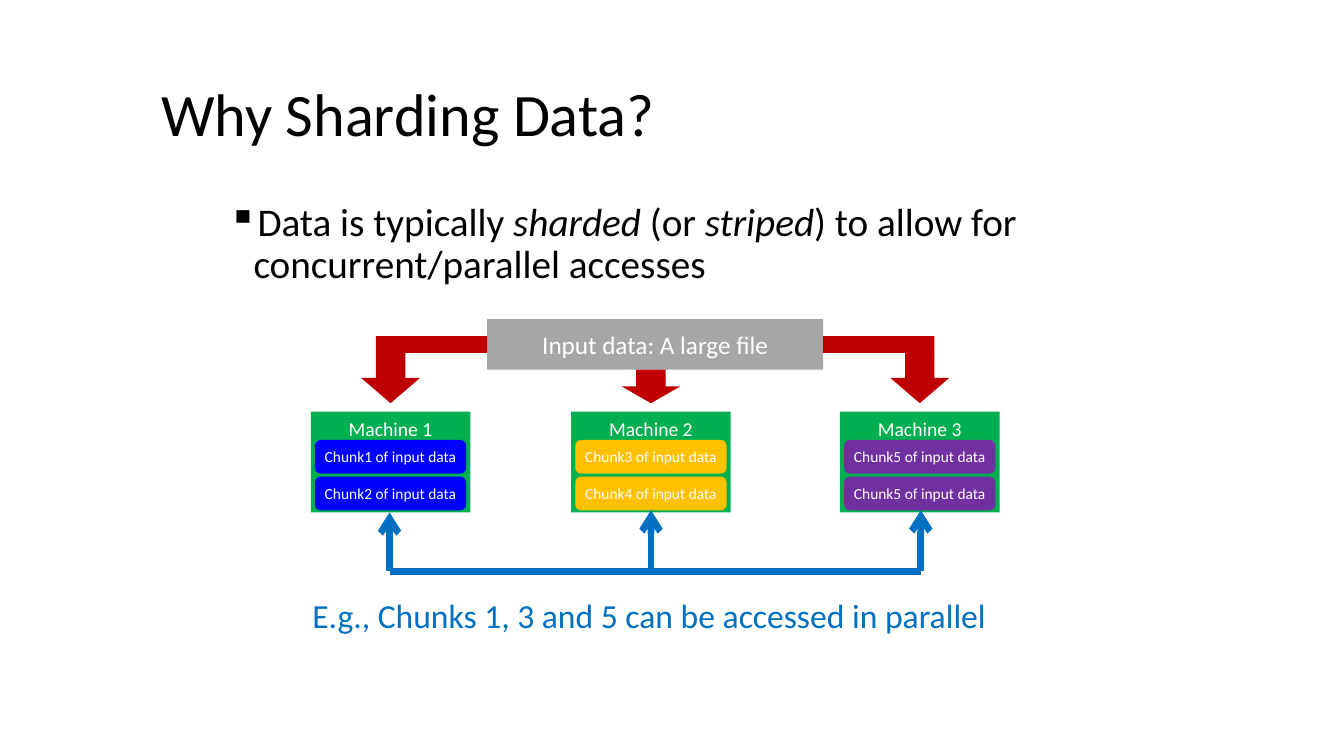
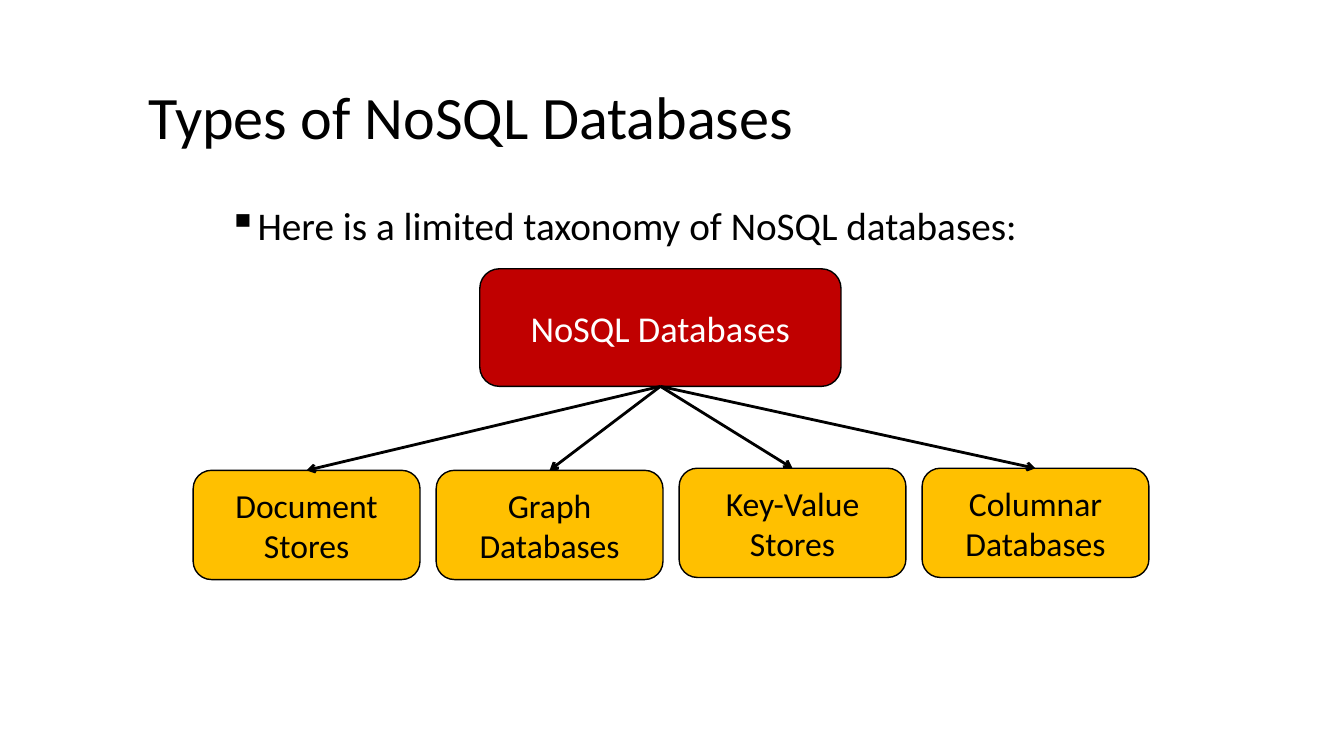
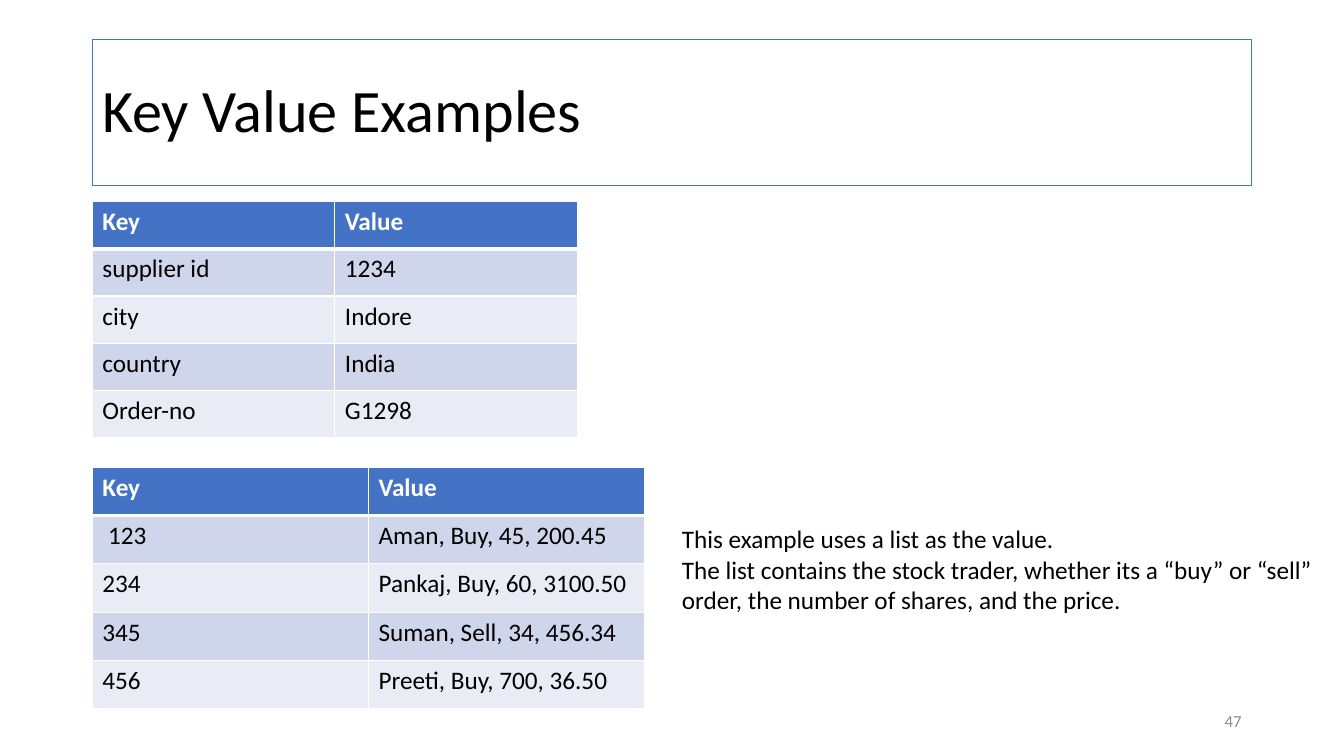
from lxml import etree
from pptx import Presentation
from pptx.dml.color import RGBColor
from pptx.enum.shapes import MSO_CONNECTOR, MSO_SHAPE
from pptx.enum.text import MSO_ANCHOR, PP_ALIGN
from pptx.oxml.ns import qn
from pptx.util import Pt

PX = 9525
FONT = "Calibri"
BLACK = RGBColor(0x00, 0x00, 0x00)
WHITE = RGBColor(0xFF, 0xFF, 0xFF)
GREY = RGBColor(0xA6, 0xA6, 0xA6)
PAGE_GREY = RGBColor(0x8C, 0x8C, 0x8C)
GREEN = RGBColor(0x00, 0xB0, 0x50)
BLUE = RGBColor(0x00, 0x00, 0xFF)
AMBER = RGBColor(0xFF, 0xC0, 0x00)
PURPLE = RGBColor(0x70, 0x30, 0xA0)
RED = RGBColor(0xC0, 0x00, 0x00)
ACCESS_BLUE = RGBColor(0x00, 0x70, 0xC0)
HEADER_BLUE = RGBColor(0x44, 0x72, 0xC4)
BAND_DARK = RGBColor(0xCF, 0xD5, 0xEA)
BAND_LIGHT = RGBColor(0xE9, 0xEB, 0xF5)

RECT = MSO_SHAPE.RECTANGLE
ROUND = MSO_SHAPE.ROUNDED_RECTANGLE
DOWN = MSO_SHAPE.DOWN_ARROW
STRAIGHT = MSO_CONNECTOR.STRAIGHT
TOP, MIDDLE = MSO_ANCHOR.TOP, MSO_ANCHOR.MIDDLE
LEFT, CENTER, RIGHT = PP_ALIGN.LEFT, PP_ALIGN.CENTER, PP_ALIGN.RIGHT

# Content: a bullet is a list of (text, italic) pieces
SHARDING_BULLET = [
    ("Data is typically ", False), ("sharded", True), (" (or ", False),
    ("striped", True), (") to allow for concurrent/parallel accesses", False),
]
TAXONOMY_BULLET = [("Here is a limited taxonomy of NoSQL databases:", False)]

# Machine: name, left, chunk colour, chunks, x and tip of its access arrow
MACHINES = [
    ("Machine 1", 296, BLUE, ("Chunk1", "Chunk2"), 371, 488),
    ("Machine 2", 544, AMBER, ("Chunk3", "Chunk4"), 620, 486),
    ("Machine 3", 800, PURPLE, ("Chunk5", "Chunk5"), 877, 486),
]
# Red arrow parts: shape, left, top, width, height
FLOW_PARTS = [
    (DOWN, 344, 336, 56, 48), (RECT, 358, 320, 106, 16),
    (DOWN, 848, 336, 56, 48), (RECT, 784, 320, 106, 16),
    (DOWN, 592, 352, 56, 32),
]
# Database type: name, top
DATABASE_TYPES = [
    ("Document Stores", 448), ("Graph Databases", 448),
    ("Key-Value Stores", 446), ("Columnar Databases", 446),
]
# Table: top, column width, row height, rows
TABLES = [
    (192, 231, 45, [
        ("Key", "Value"), ("supplier id", "1234"), ("city", "Indore"),
        ("country", "India"), ("Order-no", "G1298")]),
    (445, 263, 46, [
        ("Key", "Value"), (" 123", "Aman, Buy, 45, 200.45"),
        ("234", "Pankaj, Buy, 60, 3100.50"),
        ("345", "Suman, Sell, 34, 456.34"),
        ("456", "Preeti, Buy, 700, 36.50")]),
]
LIST_NOTE = (
    "This example uses a list as the value.\n"
    "The list contains the stock trader, whether its a “buy” or “sell” "
    "order, the number of shares, and the price."
)


# Shared building parts
def emu(*lengths):
    return [round(length * PX) for length in lengths]


def write(frame, text, size, color, align=LEFT, anchor=TOP, wrap=True, bold=False):
    frame.text = text
    frame.word_wrap = wrap
    frame.vertical_anchor = anchor
    for para in frame.paragraphs:
        para.alignment = align
        for span in para.runs:
            style(span.font, size, color, bold)


def style(font, size, color, bold=False):
    font.name, font.size, font.bold = FONT, Pt(size), bold
    font.color.rgb = color


def add_text(page, area, text, size, color, **options):
    box = page.shapes.add_textbox(*emu(*area))
    write(box.text_frame, text, size, color, **options)
    return box


def add_block(page, kind, area, fill, text="", size=18, color=WHITE,
              outline=None, anchor=MIDDLE):
    block = page.shapes.add_shape(kind, *emu(*area))
    block.shadow.inherit = False
    block.fill.solid()
    block.fill.fore_color.rgb = fill
    if outline is None:
        block.line.fill.background()
    else:
        block.line.color.rgb = outline
        block.line.width = Pt(1)
    if text:
        write(block.text_frame, text, size, color, align=CENTER, anchor=anchor)
    return block


def add_line(page, start, end, color, width, arrow=True):
    line = page.shapes.add_connector(STRAIGHT, *emu(*start, *end))
    line.line.color.rgb = color
    line.line.width = Pt(width)
    if arrow:
        etree.SubElement(line.line._get_or_add_ln(), qn("a:tailEnd"), type="arrow")
    etree.SubElement(line._element.spPr, qn("a:effectLst"))


def add_title(page, text, area):
    box = add_text(page, area, text, 43, BLACK, anchor=MIDDLE)
    box.text_frame.paragraphs[0].line_spacing = 0.9
    return box


def add_bullet(page, pieces, top):
    box = page.shapes.add_textbox(*emu(208, top, 888, 712 - top))
    box.text_frame.word_wrap = True
    para = box.text_frame.paragraphs[0]
    para.line_spacing = 0.9
    properties = para._p.get_or_add_pPr()
    properties.set("marL", str(24 * PX))
    properties.set("indent", str(-24 * PX))
    etree.SubElement(properties, qn("a:buChar"), char="▪")
    for text, italic in pieces:
        span = para.add_run()
        span.text = text
        style(span.font, 28, BLACK)
        span.font.italic = italic


def set_borders(cell, widths):
    properties = cell._tc.get_or_add_tcPr()
    for index, (side, width) in enumerate(widths.items()):
        border = etree.Element(qn(f"a:ln{side}"), w=str(Pt(width)))
        fill = etree.SubElement(border, qn("a:solidFill"))
        etree.SubElement(fill, qn("a:srgbClr"), val=str(WHITE))
        properties.insert(index, border)


def add_key_table(page, top, column_width, row_height, rows):
    columns = len(rows[0])
    area = emu(88, top, column_width * columns, row_height * len(rows))
    table = page.shapes.add_table(len(rows), columns, *area).table
    for r, row in enumerate(rows):
        header = r == 0
        band = HEADER_BLUE if header else BAND_DARK if r % 2 else BAND_LIGHT
        for c, text in enumerate(row):
            cell = table.cell(r, c)
            write(cell.text_frame, text, 18, WHITE if header else BLACK, bold=header)
            cell.fill.solid()
            cell.fill.fore_color.rgb = band
            set_borders(cell, {"L": 1, "R": 1, "T": 3 if r == 1 else 1,
                               "B": 3 if header else 1})


# Slides
def build_sharding(page):
    add_title(page, "Why Sharding Data?", (144, 51, 864, 120))
    add_bullet(page, SHARDING_BULLET, 188)
    add_block(page, RECT, (464, 304, 320, 48), GREY, "Input data: A large file")
    for kind, *area in FLOW_PARTS:
        add_block(page, kind, area, RED)
    for name, left, color, chunks, *_ in MACHINES:
        add_block(page, RECT, (left, 392, 152, 96), GREEN, name, 14, anchor=TOP)
        for row, chunk in enumerate(chunks):
            area = (left + 4, 419 + 35 * row, 144, 32)
            block = add_block(page, ROUND, area, color, f"{chunk} of input data", 11)
            block.text_frame.margin_left = block.text_frame.margin_right = 0

    # Parallel access
    base = 544
    for *_, x, tip in MACHINES:
        add_line(page, (x, base), (x, tip), ACCESS_BLUE, 4.75)
    add_line(page, (MACHINES[0][4], base), (MACHINES[-1][4], base),
             ACCESS_BLUE, 4.75, arrow=False)
    add_text(page, (288, 562, 666, 48),
             "E.g., Chunks 1, 3 and 5 can be accessed in parallel",
             24, ACCESS_BLUE, wrap=False)


def build_taxonomy(page):
    add_title(page, "Types of NoSQL Databases", (132, 54, 864, 120))
    add_bullet(page, TAXONOMY_BULLET, 192)
    add_block(page, ROUND, (457, 256, 344, 112), RED, "NoSQL Databases", 26,
              outline=BLACK)
    width = 216
    for index, (name, top) in enumerate(DATABASE_TYPES):
        left = 184 + 231.4 * index
        add_block(page, ROUND, (left, top, width, 104), AMBER, name, 24, BLACK,
                  outline=BLACK)
        add_line(page, (629, 368), (left + width / 2, top), BLACK, 2)


def build_examples(page):
    title = add_title(page, "Key Value Examples", (88, 38, 1104, 139))
    title.line.color.rgb = HEADER_BLUE
    title.line.width = Pt(0.75)
    for table in TABLES:
        add_key_table(page, *table)
    add_text(page, (640, 494, 640, 97), LIST_NOTE, 18, BLACK)
    add_text(page, (904, 667, 288, 38), "47", 12, PAGE_GREY, align=RIGHT,
             anchor=MIDDLE)


def main():
    deck = Presentation()
    deck.slide_width, deck.slide_height = emu(1280, 720)
    for build in (build_sharding, build_taxonomy, build_examples):
        build(deck.slides.add_slide(deck.slide_layouts[6]))
    deck.save("out.pptx")


if __name__ == "__main__":
    main()
